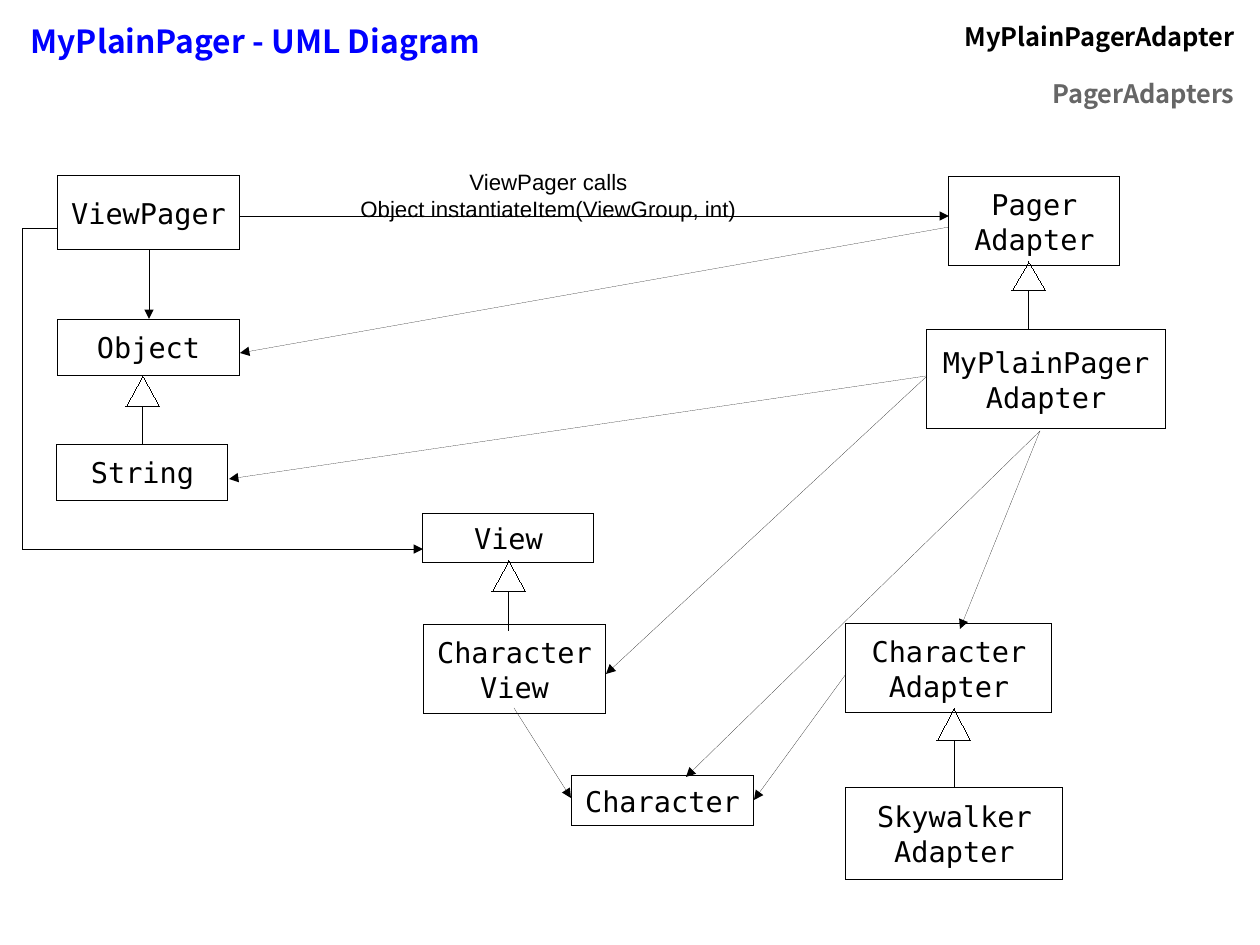
from dataclasses import dataclass

from lxml import etree
from pptx import Presentation
from pptx.dml.color import RGBColor
from pptx.enum.shapes import MSO_CONNECTOR, MSO_SHAPE
from pptx.enum.text import MSO_ANCHOR, PP_ALIGN
from pptx.oxml.ns import qn
from pptx.util import Pt

EMU_PER_PX = 8000
RECTANGLE = MSO_SHAPE.RECTANGLE
STRAIGHT = MSO_CONNECTOR.STRAIGHT
LEFT, CENTER, RIGHT = PP_ALIGN.LEFT, PP_ALIGN.CENTER, PP_ALIGN.RIGHT
MIDDLE = MSO_ANCHOR.MIDDLE
MONO, SANS, HEADING = "DejaVu Sans Mono", "Arial", "Noto Sans CJK SC"
BLACK, WHITE, BLUE, GRAY = "000000", "FFFFFF", "0000FF", "666666"
HAIRLINE = Pt(0.01)
HALF_HEAD = 17


@dataclass(frozen=True)
class ClassBox:
    name: str
    left: int
    top: int
    width: int
    height: int


@dataclass(frozen=True)
class Link:
    x1: int
    y1: int
    x2: int
    y2: int
    arrow: bool = True


@dataclass(frozen=True)
class Inheritance:
    x: int
    tip: int
    base: int
    end: int


@dataclass(frozen=True)
class Heading:
    row: int
    column: int
    text: str
    size: int
    color: str
    align: PP_ALIGN


CLASSES = [
    ClassBox("ViewPager", 57, 176, 183, 74),
    ClassBox("Object", 57, 319, 183, 57),
    ClassBox("String", 57, 444, 171, 57),
    ClassBox("Pager\nAdapter", 949, 177, 171, 89),
    ClassBox("MyPlainPager\vAdapter", 926, 330, 240, 99),
    ClassBox("View", 423, 513, 171, 50),
    ClassBox("Character\nView", 423, 625, 183, 89),
    ClassBox("Character", 571, 776, 183, 50),
    ClassBox("Character\nAdapter", 846, 624, 206, 89),
    ClassBox("Skywalker\nAdapter", 846, 787, 217, 93),
]

LINKS = [
    Link(240, 216, 949, 216),
    Link(149, 250, 149, 319),
    Link(949, 227, 240, 353),
    Link(926, 376, 229, 479),
    Link(926, 377, 606, 674),
    Link(1040, 431, 960, 629),
    Link(1040, 431, 686, 777),
    Link(846, 674, 754, 800),
    Link(514, 708, 571, 798),
    Link(57, 229, 23, 229, arrow=False),
    Link(23, 549, 23, 229, arrow=False),
    Link(23, 549, 423, 549),
]

INHERITANCES = [
    Inheritance(143, 376, 407, 444),
    Inheritance(1029, 262, 291, 330),
    Inheritance(509, 561, 592, 630),
    Inheritance(954, 709, 741, 787),
]

HEADINGS = [
    Heading(0, 0, "MyPlainPager - UML Diagram", 20, BLUE, LEFT),
    Heading(0, 1, "MyPlainPagerAdapter", 16, BLACK, RIGHT),
    Heading(1, 1, "PagerAdapters", 16, GRAY, RIGHT),
]


def px(length: int) -> int:
    return length * EMU_PER_PX


def rgb(value: str) -> RGBColor:
    return RGBColor.from_string(value)


def write(frame, text: str, *, font: str, size: int, color: str = BLACK,
          bold: bool = False, align: PP_ALIGN = CENTER) -> None:
    frame.text = text
    for paragraph in frame.paragraphs:
        paragraph.alignment = align
        for run in paragraph.runs:
            run.font.name = font
            run.font.size = Pt(size)
            run.font.bold = bold
            run.font.color.rgb = rgb(color)


def draw_class(slide, box: ClassBox) -> None:
    outline = slide.shapes.add_shape(
        RECTANGLE, px(box.left), px(box.top), px(box.width), px(box.height))
    outline.shadow.inherit = False
    outline.fill.background()
    outline.line.color.rgb = rgb(BLACK)
    outline.line.width = HAIRLINE
    frame = outline.text_frame
    frame.word_wrap = True
    frame.vertical_anchor = MIDDLE
    write(frame, box.name, font=MONO, size=18)


def draw_link(slide, link: Link) -> None:
    connector = slide.shapes.add_connector(
        STRAIGHT, px(link.x1), px(link.y1), px(link.x2), px(link.y2))
    connector.line.color.rgb = rgb(BLACK)
    connector.line.width = HAIRLINE
    properties = connector._element.spPr
    if link.arrow:
        etree.SubElement(properties.find(qn("a:ln")), qn("a:tailEnd"), type="triangle")
    etree.SubElement(properties, qn("a:effectLst"))


def draw_inheritance(slide, parent: Inheritance) -> None:
    left, right = parent.x - HALF_HEAD, parent.x + HALF_HEAD
    for x1, y1, x2 in (
        (parent.x, parent.tip, left),
        (parent.x, parent.tip, right),
        (left, parent.base, right),
        (parent.x, parent.end, parent.x),
    ):
        draw_link(slide, Link(x1, y1, x2, parent.base, arrow=False))


def draw_call_label(slide) -> None:
    frame = slide.shapes.add_textbox(px(320), px(163), px(457), px(75)).text_frame
    frame.word_wrap = True
    write(frame, "ViewPager calls\nObject instantiateItem(ViewGroup, int)", font=SANS, size=14)


def draw_headings(slide) -> None:
    holder = slide.shapes.add_table(2, 2, px(19), px(11), px(1227), px(110))
    holder.height = px(90)
    table = holder.table
    table.first_row = False
    table.horz_banding = False
    for column, width in zip(table.columns, (613, 614)):
        column.width = px(width)
    for cell in table.iter_cells():
        cell.fill.solid()
        cell.fill.fore_color.rgb = rgb(WHITE)
    for heading in HEADINGS:
        write(table.cell(heading.row, heading.column).text_frame, heading.text, font=HEADING,
              size=heading.size, color=heading.color, bold=True, align=heading.align)


def main() -> None:
    presentation = Presentation()
    presentation.slide_width = px(1260)
    presentation.slide_height = px(945)
    slide = presentation.slides.add_slide(presentation.slide_layouts[6])
    draw_headings(slide)
    for box in CLASSES:
        draw_class(slide, box)
    for link in LINKS:
        draw_link(slide, link)
    for parent in INHERITANCES:
        draw_inheritance(slide, parent)
    draw_call_label(slide)
    presentation.save("out.pptx")


if __name__ == "__main__":
    main()
